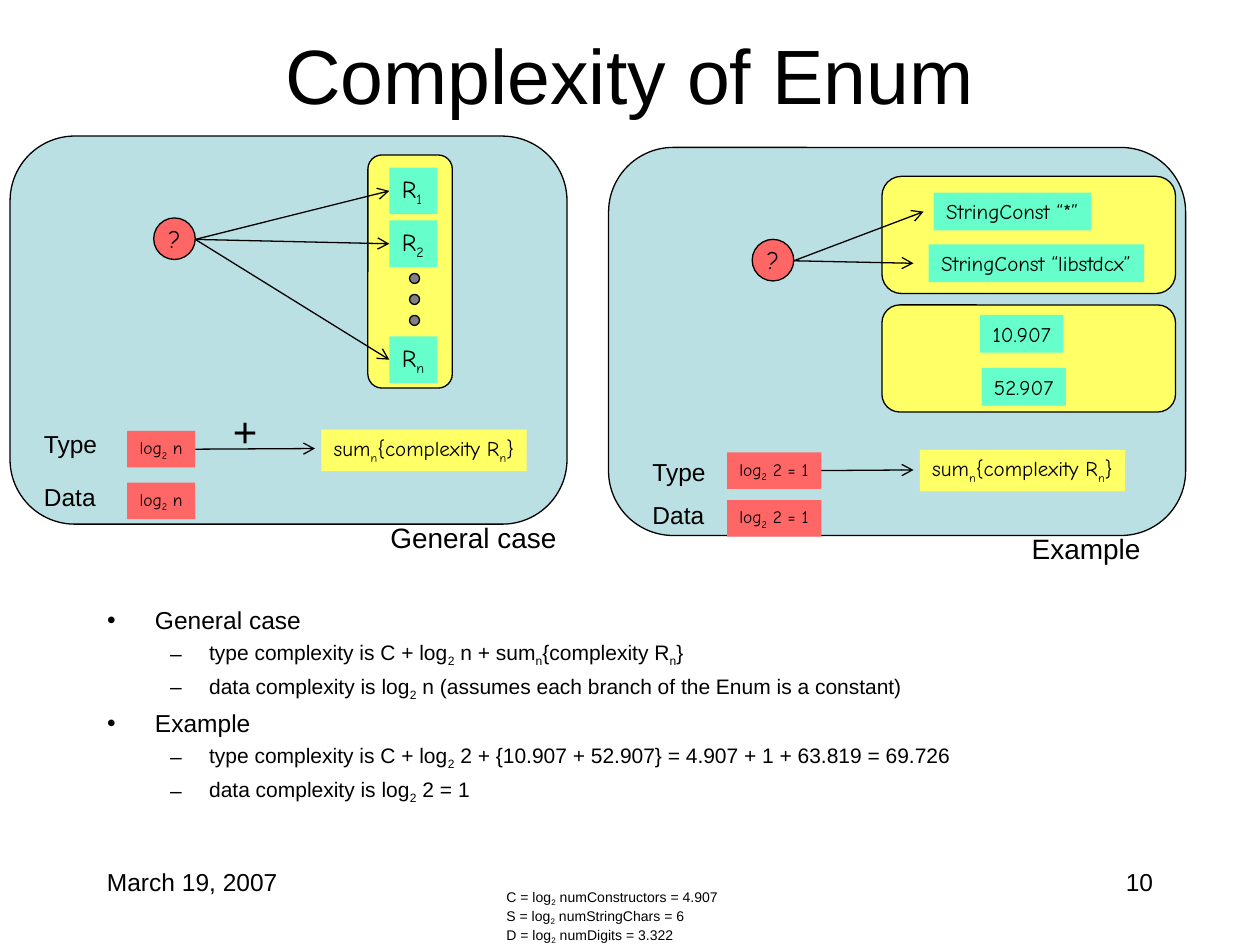
from lxml import etree
from pptx import Presentation
from pptx.dml.color import RGBColor
from pptx.enum.shapes import MSO_CONNECTOR, MSO_SHAPE
from pptx.enum.text import MSO_ANCHOR, MSO_AUTO_SIZE, PP_ALIGN
from pptx.oxml.ns import qn
from pptx.util import Inches, Pt

BLACK, PANEL, YELLOW = "000000", "BBE0E3", "FFFF66"
GREEN, RED, GREY = "66FFCC", "FF6666", "808080"
SANS, HAND = "Arial", "Comic Neue"
SUM = "sum_n_{complexity R_n_}"


def colour(value):
    return RGBColor.from_string(value)


def inches(*lengths):
    return [Inches(length) for length in lengths]


def write(paragraph, text, size, font=SANS):
    """Add text to a paragraph; parts between underscores become subscripts."""
    for index, part in enumerate(text.split("_")):
        if not part:
            continue
        run = paragraph.add_run()
        run.text = part
        for name, value in {"size": Pt(size), "name": font}.items():
            setattr(run.font, name, value)
        run.font.color.rgb = colour(BLACK)
        if index % 2:
            run.font._element.set("baseline", "-25000")


def set_frame(frame, **formats):
    for name, value in formats.items():
        setattr(frame, name, value)


def add_box(slide, kind, box, fill, outlined=True):
    shape = slide.shapes.add_shape(kind, *inches(*box))
    shape.shadow.inherit = False
    shape.fill.solid()
    shape.fill.fore_color.rgb = colour(fill)
    if outlined:
        shape.line.color.rgb = colour(BLACK)
        shape.line.width = Pt(0.75)
    else:
        shape.line.fill.background()
    return shape


def add_tag(slide, box, text, fill, size):
    """Add a filled tag; its narrow right margin keeps the text on one line."""
    tag = add_box(slide, MSO_SHAPE.RECTANGLE, box, fill, outlined=False)
    set_frame(tag.text_frame, word_wrap=False, vertical_anchor=MSO_ANCHOR.TOP,
              auto_size=MSO_AUTO_SIZE.SHAPE_TO_FIT_TEXT, margin_right=Inches(0.05))
    paragraph = tag.text_frame.paragraphs[0]
    paragraph.alignment = PP_ALIGN.LEFT
    write(paragraph, text, size, HAND)
    return tag


def add_label(slide, box, lines, size, align=PP_ALIGN.LEFT, wrap=False):
    frame = slide.shapes.add_textbox(*inches(*box)).text_frame
    frame.word_wrap = wrap
    for index, line in enumerate(lines):
        paragraph = frame.add_paragraph() if index else frame.paragraphs[0]
        paragraph.alignment = align
        write(paragraph, line, size)


def add_arrow(slide, start, end, source=None, target=None):
    """Draw an arrow, joined to the source's right and the target's left."""
    arrow = slide.shapes.add_connector(MSO_CONNECTOR.STRAIGHT, *inches(*start, *end))
    if source is not None:
        source_side = 3
        arrow.begin_connect(source, source_side)
    if target is not None:
        target_side = 1
        arrow.end_connect(target, target_side)
    arrow.line.color.rgb = colour(BLACK)
    arrow.line.width = Pt(0.75)
    etree.SubElement(arrow.line._get_or_add_ln(), qn("a:tailEnd"), type="arrow")
    etree.SubElement(arrow._element.spPr, qn("a:effectLst"))


def add_panel(slide, left, top, width, node_top):
    """Draw the panel and its choice node; return where the node's arrows start."""
    add_box(slide, MSO_SHAPE.ROUNDED_RECTANGLE, (left, top, width, 3.08), PANEL)
    node_box = (left + 1.14, top + node_top, 0.33, 0.33)
    node = add_box(slide, MSO_SHAPE.OVAL, node_box, RED)
    set_frame(node.text_frame, word_wrap=False, vertical_anchor=MSO_ANCHOR.MIDDLE)
    paragraph = node.text_frame.paragraphs[0]
    paragraph.alignment = PP_ALIGN.CENTER
    write(paragraph, "?", 14, HAND)
    return left + 1.47, top + node_top + 0.17


def add_costs(slide, left, top, label_tops, tag_tops, tag_left, tag_width, cost):
    """Place the Type and Data rows; return the tag of the Type row."""
    tags = []
    for name, label_top, tag_top in zip(("Type", "Data"), label_tops, tag_tops):
        add_label(slide, (left, top + label_top, 0.63, 0.34), [name], 14)
        tag_box = (tag_left, top + tag_top, tag_width, 0.29)
        tags.append(add_tag(slide, tag_box, cost, RED, 10))
    return tags[0]


def add_general_case(slide, left, top):
    node = add_panel(slide, left, top, 4.42, 0.65)
    add_box(slide, MSO_SHAPE.ROUNDED_RECTANGLE,
            (left + 2.84, top + 0.15, 0.67, 1.85), YELLOW)
    for text, offset in (("R_1_", 0.25), ("R_2_", 0.67), ("R_n_", 1.59)):
        branch = add_tag(slide, (left + 3.01, top + offset, 0.38, 0.37), text, GREEN, 14)
        add_arrow(slide, node, node, target=branch)
    for dot in range(3):
        add_box(slide, MSO_SHAPE.OVAL,
                (left + 3.17, top + 1.09 + dot / 6, 0.08, 0.08), GREY)

    type_cost = add_costs(slide, left + 0.17, top, (2.28, 2.7), (2.34, 2.75),
                          left + 0.93, 0.54, "log_2_ n")
    add_arrow(slide, (left + 1.48, top + 2.48), (left + 2.42, top + 2.48), type_cost)
    add_tag(slide, (left + 2.47, top + 2.33, 1.63, 0.33), SUM, YELLOW, 12)
    add_label(slide, (left + 1.67, top + 2.09, 0.39, 0.5), ["+"], 24)
    add_label(slide, (left + 2.92, top + 3, 1.52, 0.37), ["General case"], 16)


def add_example(slide, left, top):
    node = add_panel(slide, left, top, 4.58, 0.73)
    for offset, height in ((0.23, 0.93), (1.25, 0.85)):
        add_box(slide, MSO_SHAPE.ROUNDED_RECTANGLE,
                (left + 2.17, top + offset, 2.33, height), YELLOW)
    for text, x, y, width in (("StringConst “*”", 2.58, 0.36, 1.25),
                              ("StringConst “libstdcx”", 2.54, 0.77, 1.71),
                              ("10.907", 2.95, 1.33, 0.66),
                              ("52.907", 2.96, 1.75, 0.67)):
        add_tag(slide, (left + x, top + y, width, 0.3), text, GREEN, 12)
    for x, y in ((2.5, 0.51), (2.42, 0.92)):
        add_arrow(slide, node, (left + x, top + y))

    type_cost = add_costs(slide, left + 0.25, top, (2.41, 2.75), (2.42, 2.8),
                          left + 0.94, 0.75, "log_2_ 2 = 1")
    add_arrow(slide, (left + 1.71, top + 2.56), (left + 2.42, top + 2.56), type_cost)
    add_tag(slide, (left + 2.47, top + 2.4, 1.63, 0.33), SUM, YELLOW, 12)
    add_label(slide, (left + 3.26, top + 3, 1.06, 0.37), ["Example"], 16)


def place(placeholder, box):
    for name, value in zip(("left", "top", "width", "height"), inches(*box)):
        setattr(placeholder, name, value)


def add_title(slide, box):
    title = slide.shapes.title
    place(title, box)
    set_frame(title.text_frame, vertical_anchor=MSO_ANCHOR.MIDDLE,
              auto_size=MSO_AUTO_SIZE.NONE)
    paragraph = title.text_frame.paragraphs[0]
    paragraph.alignment = PP_ALIGN.CENTER
    write(paragraph, "Complexity of Enum", 44)


def add_summary(slide, box):
    body = slide.placeholders[1]
    place(body, box)
    body.text_frame.auto_size = MSO_AUTO_SIZE.NONE
    points = (
        (0, "General case"),
        (1, "type complexity is C + log_2_ n + sum_n_{complexity R_n_}"),
        (1, "data complexity is log_2_ n (assumes each branch of the Enum is a constant)"),
        (0, "Example"),
        (1, "type complexity is C + log_2_ 2 + {10.907 + 52.907} = 4.907 + 1 + 63.819 = 69.726"),
        (1, "data complexity is log_2_ 2 = 1"),
    )
    levels = ((14, 3.5, 0.38, -0.38), (12, 3, 0.81, -0.31))
    for index, (level, text) in enumerate(points):
        size, space, margin, indent = levels[level]
        paragraph = body.text_frame.add_paragraph() if index else body.text_frame.paragraphs[0]
        paragraph.level = level
        paragraph.space_before = Pt(space)
        properties = paragraph._p.get_or_add_pPr()
        for name, length in {"marL": margin, "indent": indent}.items():
            properties.set(name, str(Inches(length)))
        write(paragraph, text, size)


def add_footer(slide, left, top, width):
    add_label(slide, (left, top, 2.08, 0.5), ["March 19, 2007"], 14, wrap=True)
    add_label(slide, (left + width - 2.08, top, 2.08, 0.5), ["10"], 14,
              PP_ALIGN.RIGHT, wrap=True)
    add_label(slide, (left + 3.17, top + 0.17, 1.88, 0.56),
              ["C = log_2_ numConstructors = 4.907",
               "S = log_2_ numStringChars = 6",
               "D = log_2_ numDigits = 3.322"], 8)


def main():
    deck = Presentation()
    deck.slide_width, deck.slide_height = inches(10, 7.5)
    slide = deck.slides.add_slide(deck.slide_layouts[1])
    add_title(slide, (0.75, 0.25, 8.5, 0.67))
    add_summary(slide, (0.75, 4.75, 8.5, 2.42))
    add_general_case(slide, 0.08, 1.08)
    add_example(slide, 4.83, 1.17)
    add_footer(slide, 0.75, 6.83, 8.5)
    deck.save("out.pptx")


if __name__ == "__main__":
    main()
